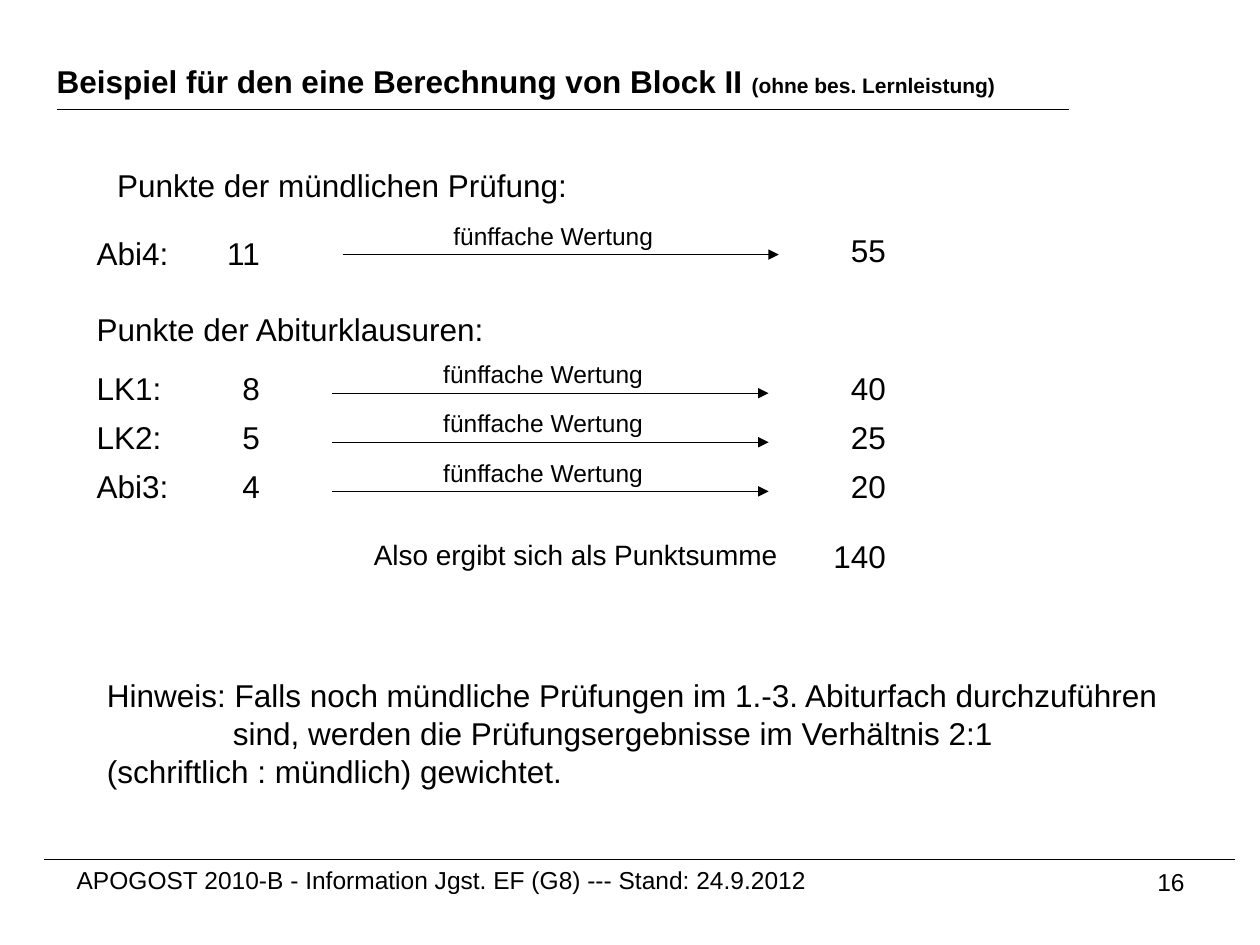
"""Build the slide with the worked example for Block II."""
from dataclasses import dataclass

from lxml.etree import SubElement
from pptx import Presentation
from pptx.dml.color import RGBColor
from pptx.enum.shapes import MSO_CONNECTOR
from pptx.enum.text import MSO_ANCHOR, MSO_AUTO_SIZE, PP_ALIGN
from pptx.oxml.ns import qn
from pptx.util import Pt

INK = "000000"
FONT = "Arial"
LEFT, RIGHT = PP_ALIGN.LEFT, PP_ALIGN.RIGHT
ROW_TOP, ROW_STEP = 207.4, 28.05
LINE_HEIGHT = 29


@dataclass(frozen=True)
class Label:
    text: str
    left: float
    top: float
    width: float
    height: float = LINE_HEIGHT
    size: float = 18
    align: PP_ALIGN = LEFT


@dataclass(frozen=True)
class Exam:
    name: str
    points: int
    top: float
    name_drop: float = 0
    arrow_shift: float = 0


EXAMS = [Exam("Abi4:", 11, 128.2, 2.2, 5.8)] + [
    Exam(name, points, ROW_TOP + place * ROW_STEP)
    for place, (name, points) in enumerate([("LK1:", 8), ("LK2:", 5), ("Abi3:", 4)])
]
FACTOR = 5
TOTAL = sum(exam.points for exam in EXAMS) * FACTOR

LABELS = [
    Label("APOGOST 2010-B - Information Jgst. EF (G8) --- Stand: 24.9.2012",
          36.7, 491, 470, 37.5, 14),
    Label("16", 516.2, 491.8, 167.8, 37.5, 14, RIGHT),
    Label("Punkte der mündlichen Prüfung:", 59.8, 91.4, 278),
    Label("Punkte der Abiturklausuren:", 48.2, 173.5, 244),
    Label("Also ergibt sich als Punktsumme", 206.6, 303.8, 249, 26.6, 16),
    Label(str(TOTAL), 462.2, 303.1, 51.1, align=RIGHT),
]
HINT = Label(
    "Hinweis: Falls noch mündliche Prüfungen im 1.-3. Abiturfach durchzuführen "
    "\tsind, werden die Prüfungsergebnisse im Verhältnis 2:1 "
    "\t(schriftlich : mündlich) gewichtet.",
    54, 383, 617.8, 72)


def color(value: str) -> RGBColor:
    """Turn a hex string into a colour."""
    return RGBColor.from_string(value)


def apply(target, values: dict) -> None:
    """Set every attribute named in the format values."""
    for name, value in values.items():
        setattr(target, name, value)


def write(paragraph, text: str, size: float, bold: bool = False) -> None:
    """Add a formatted run to a paragraph."""
    run = paragraph.add_run()
    run.text = text
    apply(run.font, {"name": FONT, "size": Pt(size), "bold": bold})
    run.font.color.rgb = color(INK)


def place_label(slide, label: Label):
    """Draw one text label and return its paragraph."""
    box = slide.shapes.add_textbox(
        Pt(label.left), Pt(label.top), Pt(label.width), Pt(label.height))
    box.text_frame.word_wrap = True
    paragraph = box.text_frame.paragraphs[0]
    paragraph.alignment = label.align
    write(paragraph, label.text, label.size)
    return paragraph


def draw_rule(slide, start: float, end: float, top: float, arrow: bool = False) -> None:
    """Draw a level line, with an arrowhead on request."""
    rule = slide.shapes.add_connector(
        MSO_CONNECTOR.STRAIGHT, Pt(start), Pt(top), Pt(end), Pt(top))
    rule.line.width = Pt(0.75)
    rule.line.color.rgb = color(INK)
    if arrow:
        SubElement(rule.line._get_or_add_ln(), qn("a:tailEnd"), type="triangle")
    SubElement(rule._element.spPr, qn("a:effectLst"))


def draw_exam(slide, exam: Exam) -> None:
    """Draw one exam with its points, weighting arrow and result."""
    shift = exam.arrow_shift
    name_top = exam.top + exam.name_drop
    draw_rule(slide, 190 + shift, 439.2 + shift, exam.top + 17.3, arrow=True)
    for label in (
        Label(exam.name, 48.2, name_top, 73.4),
        Label(str(exam.points), 110.6, name_top, 45, align=RIGHT),
        Label("fünffache Wertung", 246.2 + shift, exam.top - 5.6, 142, 24, 14),
        Label(str(exam.points * FACTOR), 462.2, exam.top, 51.1, align=RIGHT),
    ):
        place_label(slide, label)


def write_title(slide) -> None:
    """Move and fill the title placeholder."""
    title = slide.shapes.title
    apply(title, {"left": Pt(25.2), "top": Pt(31.7),
                  "width": Pt(589.7), "height": Pt(LINE_HEIGHT)})
    apply(title.text_frame, {"auto_size": MSO_AUTO_SIZE.NONE, "word_wrap": True,
                             "vertical_anchor": MSO_ANCHOR.TOP})
    paragraph = title.text_frame.paragraphs[0]
    paragraph.alignment = LEFT
    write(paragraph, "Beispiel für den eine Berechnung von Block II ", 18, True)
    write(paragraph, "(ohne bes. Lernleistung)", 12, True)


def write_hint(slide) -> None:
    """Write the closing hint with its tab stop."""
    properties = place_label(slide, HINT)._p.get_or_add_pPr()
    stops = SubElement(properties, qn("a:tabLst"))
    SubElement(stops, qn("a:tab"), pos=str(Pt(72)), algn="l")


def main() -> None:
    """Build and save the presentation."""
    deck = Presentation()
    apply(deck, {"slide_width": Pt(720), "slide_height": Pt(540)})
    slide = deck.slides.add_slide(deck.slide_layouts[5])
    write_title(slide)
    draw_rule(slide, 25.2, 705.6, 491)
    draw_rule(slide, 32.4, 610.6, 62.6)
    for label in LABELS:
        place_label(slide, label)
    for exam in EXAMS:
        draw_exam(slide, exam)
    write_hint(slide)
    deck.save("out.pptx")


if __name__ == "__main__":
    main()
